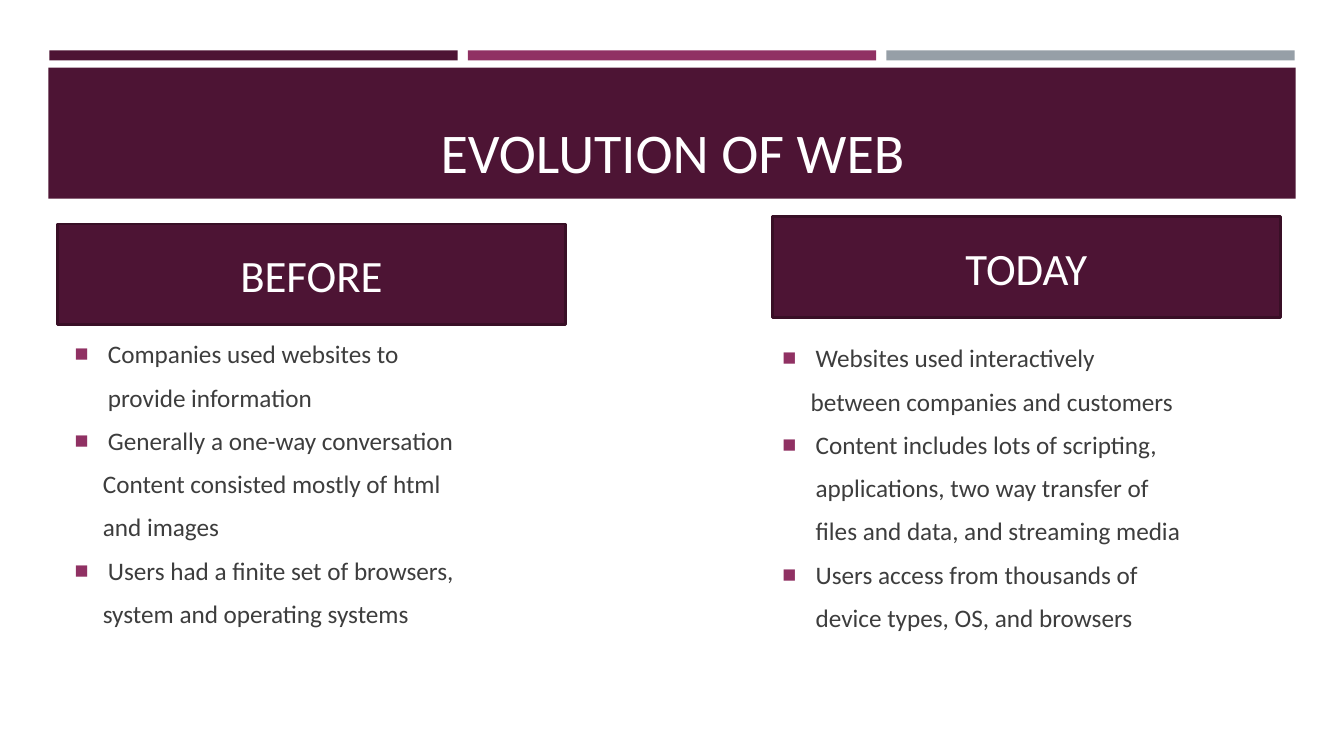
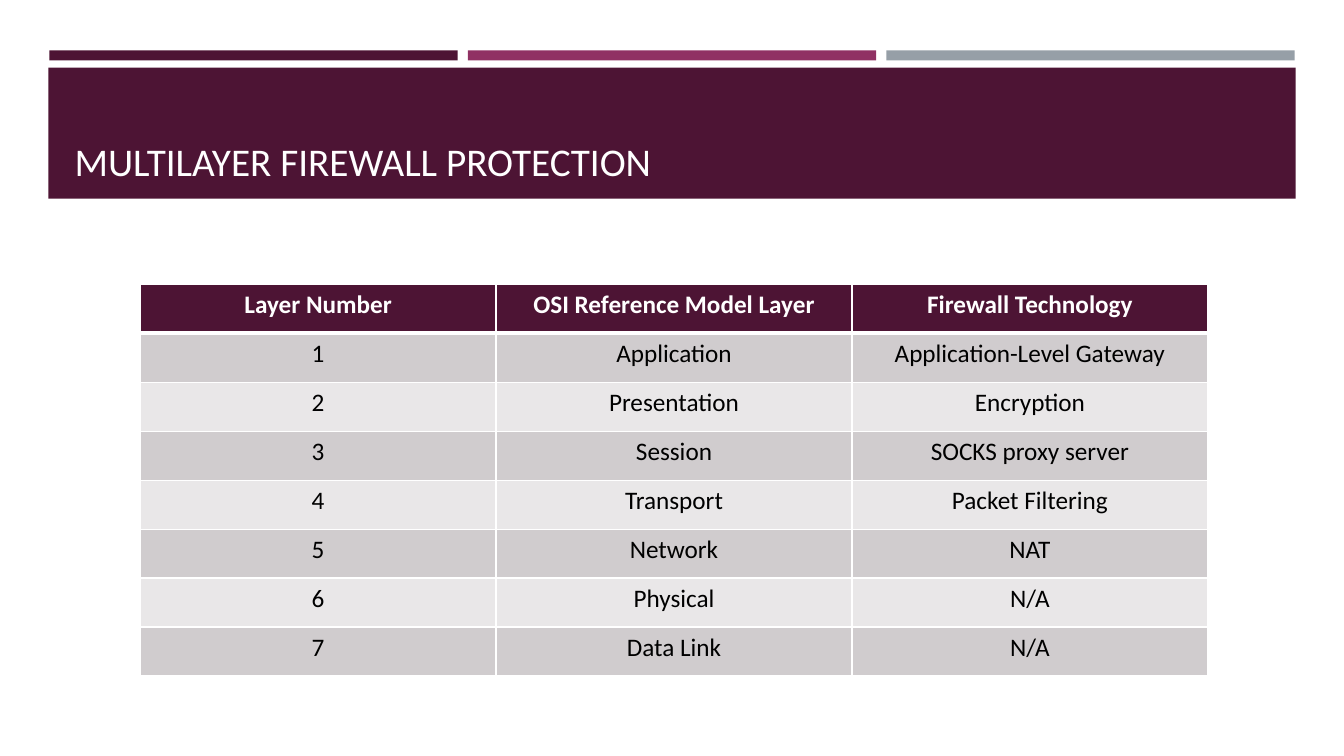
from lxml import etree
from pptx import Presentation
from pptx.dml.color import RGBColor
from pptx.enum.shapes import MSO_SHAPE
from pptx.enum.text import MSO_ANCHOR, MSO_AUTO_SIZE, PP_ALIGN
from pptx.oxml.ns import qn
from pptx.util import Inches, Pt

RECTANGLE = MSO_SHAPE.RECTANGLE
LEFT, CENTER = PP_ALIGN.LEFT, PP_ALIGN.CENTER
TOP, BOTTOM = MSO_ANCHOR.TOP, MSO_ANCHOR.BOTTOM
NO_AUTOFIT = MSO_AUTO_SIZE.NONE

PLUM = RGBColor(0x4D, 0x14, 0x34)
DARK_PLUM = RGBColor(0x39, 0x0F, 0x26)
MAGENTA = RGBColor(0x90, 0x31, 0x63)
GRAY = RGBColor(0x96, 0x9F, 0xA7)
TEXT_GRAY = RGBColor(0x3D, 0x3D, 0x3D)
ROW_DARK = RGBColor(0xD0, 0xCC, 0xCE)
ROW_LIGHT = RGBColor(0xE9, 0xE7, 0xE8)
WHITE = RGBColor(0xFF, 0xFF, 0xFF)
BLACK = RGBColor(0x00, 0x00, 0x00)

FONT = "Calibri"
TWO_CONTENT_LAYOUT, TITLE_ONLY_LAYOUT = 3, 5
COLUMN_WIDTH = 5.04
BULLET_INDENT = 0.33
NARROW_INDENT = 0.28

# Each line: text, left indent, whether it carries a bullet
BEFORE_LINES = [
    ("Companies used websites to", BULLET_INDENT, True),
    ("provide information", BULLET_INDENT, False),
    ("Generally a one-way conversation", BULLET_INDENT, True),
    ("Content consisted mostly of html", NARROW_INDENT, False),
    ("and images", NARROW_INDENT, False),
    ("Users had a finite set of browsers,", BULLET_INDENT, True),
    ("system and operating systems", NARROW_INDENT, False),
]
TODAY_LINES = [
    ("Websites used interactively", BULLET_INDENT, True),
    ("between companies and customers", NARROW_INDENT, False),
    ("Content includes lots of scripting,", BULLET_INDENT, True),
    ("applications, two way transfer of", BULLET_INDENT, False),
    ("files and data, and streaming media", BULLET_INDENT, False),
    ("Users access from thousands of", BULLET_INDENT, True),
    ("device types, OS, and browsers", BULLET_INDENT, False),
]
FIREWALL_ROWS = [
    ("Layer Number", "OSI Reference Model Layer", "Firewall Technology"),
    ("1", "Application", "Application-Level Gateway"),
    ("2", "Presentation", "Encryption"),
    ("3", "Session", "SOCKS proxy server"),
    ("4", "Transport", "Packet Filtering"),
    ("5", "Network", "NAT"),
    ("6", "Physical", "N/A"),
    ("7", "Data Link", "N/A"),
]


def place(shape, left, top, width, height):
    shape.left, shape.top = Inches(left), Inches(top)
    shape.width, shape.height = Inches(width), Inches(height)


def format_paragraph(paragraph, size, color, alignment=LEFT, bold=False):
    paragraph.alignment = alignment
    font = paragraph.font
    font.name, font.size, font.bold = FONT, Pt(size), bold
    font.color.rgb = color


def add_rectangle(slide, left, top, width, height, fill):
    shape = slide.shapes.add_shape(
        RECTANGLE, Inches(left), Inches(top), Inches(width), Inches(height))
    shape.shadow.inherit = False
    shape.fill.solid()
    shape.fill.fore_color.rgb = fill
    shape.line.fill.background()
    return shape


# Slide frame: three strips, the title band and the title
def add_slide(presentation, layout_index, title_text, title_size, alignment):
    slide = presentation.slides.add_slide(
        presentation.slide_layouts[layout_index])
    for index, color in enumerate((PLUM, MAGENTA, GRAY)):
        add_rectangle(slide, 0.49 + index * 4.15, 0.5, 4.05, 0.1, color)
    add_rectangle(slide, 0.48, 0.67, 12.37, 1.3, PLUM)

    title = slide.shapes.title
    place(title, 0.64, 0.77, 12.06, 1.11)
    title.text_frame.text = title_text
    title.text_frame.vertical_anchor = BOTTOM
    title.text_frame.auto_size = NO_AUTOFIT
    format_paragraph(title.text_frame.paragraphs[0], title_size, WHITE,
                     alignment)
    # Bring the title in front of its band
    title.element.getparent().append(title.element)
    return slide


def add_heading(slide, text, left, top):
    heading = add_rectangle(slide, left, top, COLUMN_WIDTH, 1, PLUM)
    heading.line.color.rgb = DARK_PLUM
    heading.line.width = Pt(1.75)
    heading.text_frame.text = text
    format_paragraph(heading.text_frame.paragraphs[0], 32, WHITE, CENTER)


def set_bullet(paragraph, indent, bulleted):
    properties = paragraph._p.get_or_add_pPr()
    properties.set("marL", str(Inches(indent)))
    properties.set("indent", str(-Inches(indent) if bulleted else 0))
    if not bulleted:
        etree.SubElement(properties, qn("a:buNone"))
        return
    color = etree.SubElement(properties, qn("a:buClr"))
    etree.SubElement(color, qn("a:srgbClr"), val=str(MAGENTA))
    etree.SubElement(properties, qn("a:buSzPct"), val="92000")
    etree.SubElement(properties, qn("a:buChar"), char="■")


def fill_list(placeholder, lines, left, top):
    place(placeholder, left, top, COLUMN_WIDTH, 3.25)
    frame = placeholder.text_frame
    frame.vertical_anchor = TOP
    frame.auto_size = NO_AUTOFIT
    frame.text = "\n".join(text for text, _, _ in lines)
    for paragraph, (_, indent, bulleted) in zip(frame.paragraphs, lines):
        paragraph.space_before, paragraph.space_after = Pt(3.3), Pt(6)
        set_bullet(paragraph, indent, bulleted)
        format_paragraph(paragraph, 18, TEXT_GRAY)


def set_borders(cell, top_width, bottom_width):
    properties = cell._tc.get_or_add_tcPr()
    widths = (("L", 1), ("R", 1), ("T", top_width), ("B", bottom_width))
    for position, (side, width) in enumerate(widths):
        line = etree.Element(qn(f"a:ln{side}"), w=str(Pt(width)))
        fill = etree.SubElement(line, qn("a:solidFill"))
        etree.SubElement(fill, qn("a:srgbClr"), val=str(WHITE))
        properties.insert(position, line)


def add_firewall_table(slide, rows):
    column_count = len(rows[0])
    table = slide.shapes.add_table(
        len(rows), column_count, Inches(1.39), Inches(2.82),
        Inches(3.53 * column_count), Inches(0.486 * len(rows))).table
    for row_index, row in enumerate(rows):
        is_header = row_index == 0
        band = ROW_DARK if row_index % 2 else ROW_LIGHT
        for column_index, text in enumerate(row):
            cell = table.cell(row_index, column_index)
            cell.text = text
            cell.fill.solid()
            cell.fill.fore_color.rgb = PLUM if is_header else band
            set_borders(cell, 3 if row_index == 1 else 1, 3 if is_header else 1)
            format_paragraph(cell.text_frame.paragraphs[0], 18,
                             WHITE if is_header else BLACK, CENTER, is_header)


def main():
    presentation = Presentation()
    presentation.slide_width = Inches(13.33)
    presentation.slide_height = Inches(7.5)

    # Slide 1: the web before and today
    slide = add_slide(presentation, TWO_CONTENT_LAYOUT, "EVOLUTION OF WEB",
                      40, CENTER)
    fill_list(slide.placeholders[1], BEFORE_LINES, 0.64, 3.31)
    fill_list(slide.placeholders[2], TODAY_LINES, 7.66, 3.35)
    add_heading(slide, "BEFORE", 0.57, 2.22)
    add_heading(slide, "TODAY", 7.66, 2.15)

    # Slide 2: firewall technology by layer
    slide = add_slide(presentation, TITLE_ONLY_LAYOUT,
                      "MULTILAYER FIREWALL PROTECTION", 28, LEFT)
    add_firewall_table(slide, FIREWALL_ROWS)

    presentation.save("out.pptx")


if __name__ == "__main__":
    main()
